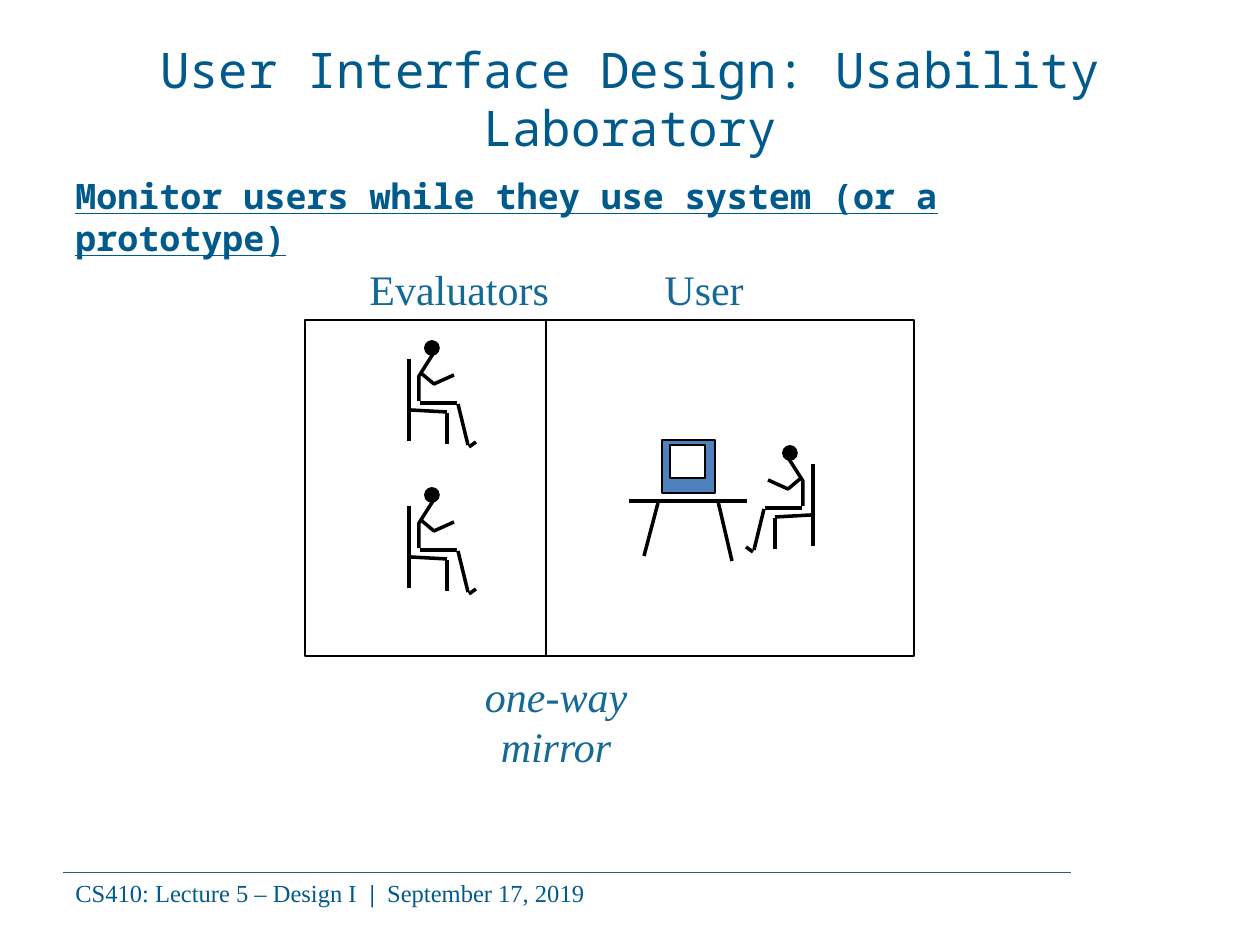
"""Build the usability laboratory slide."""
from lxml.etree import SubElement
from pptx import Presentation
from pptx.dml.color import RGBColor
from pptx.enum.shapes import MSO_CONNECTOR, MSO_SHAPE
from pptx.enum.text import MSO_ANCHOR, MSO_AUTO_SIZE, PP_ALIGN
from pptx.oxml.ns import qn
from pptx.util import Pt

SCALE = 914400 / 126
NAVY, BLUE, BLACK = "005A8B", "156997", "000000"
MONO, SERIF = "Noto Sans Mono", "Times New Roman"

TITLE = ("User Interface Design: Usability Laboratory", (63, 38, 1134, 120),
         dict(name=MONO, size=Pt(28), color=NAVY))
TEXTS = [
    (["Monitor users while they use system (or a prototype)"],
     (63, 168, 1081, 63), PP_ALIGN.LEFT, None,
     dict(name=MONO, size=Pt(20), color=NAVY, bold=True, underline=True)),
    (["Evaluators\tUser"], (357, 257, 599, 63), PP_ALIGN.LEFT, 295,
     dict(name=SERIF, size=Pt(24), color=BLUE)),
    (["one-way mirror"], (451, 664, 210, 113), PP_ALIGN.CENTER, None,
     dict(name=SERIF, size=Pt(24), color=BLUE, italic=True)),
    (["CS410: Lecture 5 – Design I  ", "|  ", "September 17, 2019"],
     (63, 872, 1029, 43), PP_ALIGN.LEFT, None,
     dict(name=SERIF, size=Pt(14), color=NAVY)),
]

RULE = [(63, 872), (1071, 872)]
ROOM = (305, 320, 609, 336)
MIRROR = [(546, 320), (546, 656)]
HEAD = (16, 0, 14, 14)
LIMBS = [
    [(0, 18), (0, 100)],
    [(2, 69), (38, 71)],
    [(38, 72), (38, 103)],
    [(24, 13), (10, 35), (10, 60)],
    [(11, 62), (48, 62)],
    [(49, 63), (59, 104)],
    [(60, 106), (67, 101)],
    [(13, 33), (25, 43), (45, 34)],
]
PEOPLE = [(409, 341, 1), (409, 488, 1), (813, 446, -1)]
TABLE = [
    [(629, 501), (747, 501)],
    [(658, 503), (644, 556)],
    [(732, 561), (718, 501)],
]
SCREEN = [((662, 440, 53, 53), "4F81BD"), ((670, 445, 35, 33), "FFFFFF")]


def px(*nums):
    return [round(n * SCALE) for n in nums]


def hue(code):
    return RGBColor.from_string(code)


def style(font, look):
    for key, val in look.items():
        if key == "color":
            font.color.rgb = hue(val)
        else:
            setattr(font, key, val)


def stroke(item, width, color=BLACK):
    item.line.color.rgb = hue(color)
    item.line.width = Pt(width)


def draw_line(shapes, points, width=2, color=BLACK):
    if len(points) == 2:
        ends = px(*points[0], *points[1])
        item = shapes.add_connector(MSO_CONNECTOR.STRAIGHT, *ends)
        SubElement(item.element.spPr, qn("a:effectLst"))
    else:
        start, *rest = [px(*spot) for spot in points]
        pen = shapes.build_freeform(*start, scale=1)
        pen.add_line_segments(rest, close=False)
        item = pen.convert_to_shape()
        item.fill.background()
        item.shadow.inherit = False
    stroke(item, width, color)


def draw_shape(shapes, kind, area, fill=None, width=0.75):
    item = shapes.add_shape(kind, *px(*area))
    item.shadow.inherit = False
    if fill:
        item.fill.solid()
        item.fill.fore_color.rgb = hue(fill)
    else:
        item.fill.background()
    stroke(item, width)


def draw_person(shapes, left, top, side):
    group = shapes.add_group_shape().shapes
    x, y, wide, high = HEAD
    edge = x if side > 0 else -x - wide
    draw_shape(group, MSO_SHAPE.OVAL, (left + edge, top + y, wide, high), BLACK, 1)
    for limb in LIMBS:
        draw_line(group, [(left + side * x, top + y) for x, y in limb])


def draw_desk(shapes):
    group = shapes.add_group_shape().shapes
    for points in TABLE:
        draw_line(group, points)
    for area, fill in SCREEN:
        draw_shape(group, MSO_SHAPE.RECTANGLE, area, fill)


def draw_title(shape):
    text, area, look = TITLE
    shape.left, shape.top, shape.width, shape.height = px(*area)
    frame = shape.text_frame
    frame.text = text
    frame.auto_size = MSO_AUTO_SIZE.NONE
    frame.vertical_anchor = MSO_ANCHOR.MIDDLE
    para = frame.paragraphs[0]
    para.alignment = PP_ALIGN.CENTER
    style(para.runs[0].font, look)


def draw_text(shapes, parts, area, align, tab, look):
    frame = shapes.add_textbox(*px(*area)).text_frame
    frame.word_wrap = True
    para = frame.paragraphs[0]
    para.alignment = align
    if tab:
        stops = SubElement(para._p.get_or_add_pPr(), qn("a:tabLst"))
        SubElement(stops, qn("a:tab"), pos=str(*px(tab)), algn="l")
    for part in parts:
        run = para.add_run()
        run.text = part
        style(run.font, look)
        if part.startswith("|"):
            run.font.bold = True


def main():
    deck = Presentation()
    deck.slide_width, deck.slide_height = px(1260, 945)
    slide = deck.slides.add_slide(deck.slide_layouts[5])
    shapes = slide.shapes
    draw_title(shapes.title)
    draw_line(shapes, RULE, 0.5, "2D588D")
    draw_shape(shapes, MSO_SHAPE.RECTANGLE, ROOM)
    draw_line(shapes, MIRROR, 0.75)
    for person in PEOPLE:
        draw_person(shapes, *person)
    draw_desk(shapes)
    for text in TEXTS:
        draw_text(shapes, *text)
    deck.save("out.pptx")


if __name__ == "__main__":
    main()
